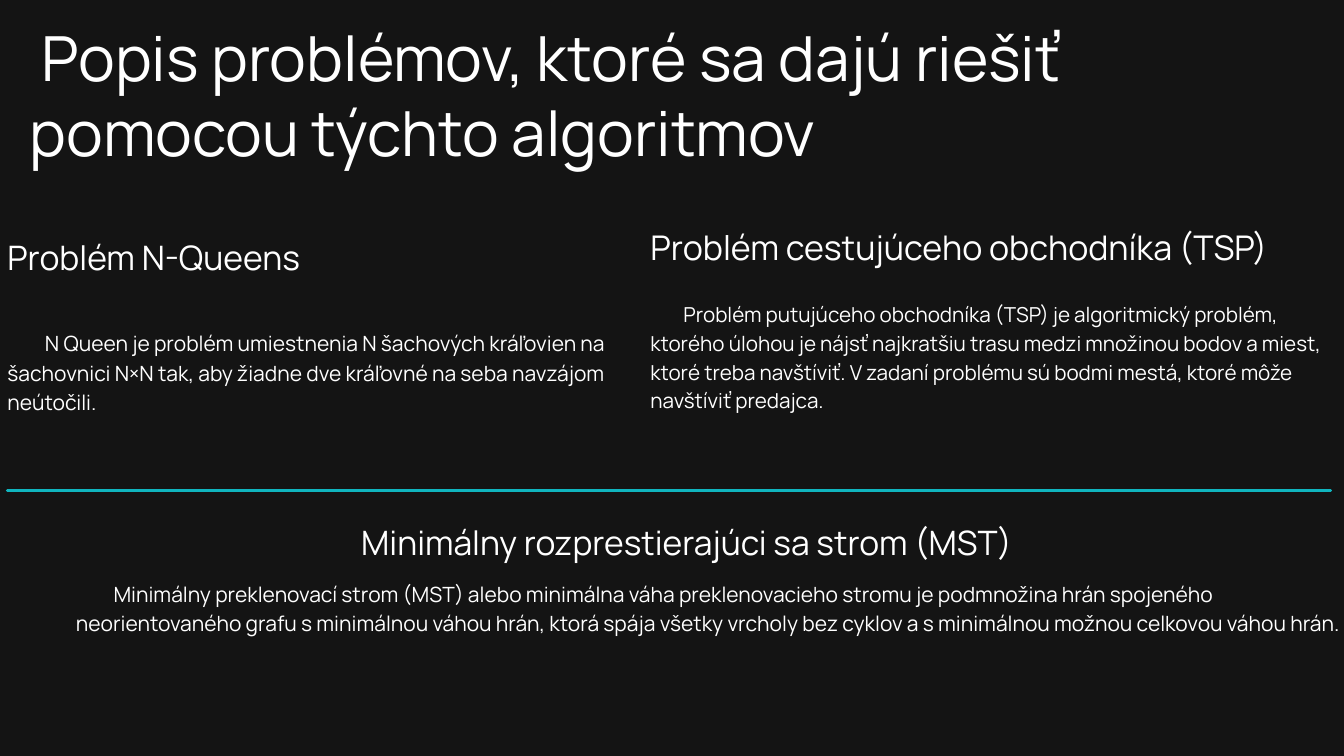
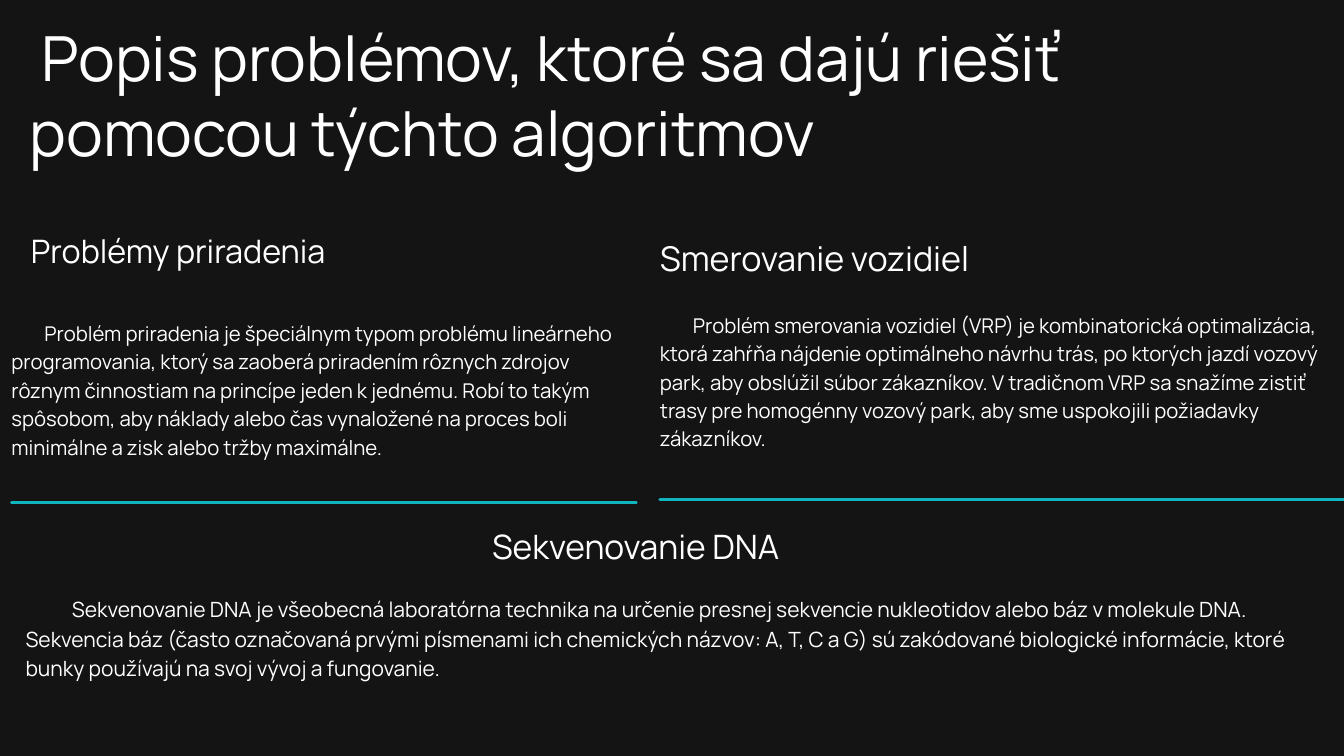
from lxml import etree
from pptx import Presentation
from pptx.dml.color import RGBColor
from pptx.enum.shapes import MSO_CONNECTOR
from pptx.enum.text import PP_ALIGN
from pptx.oxml.ns import qn
from pptx.util import Inches, Pt

BACKGROUND = RGBColor(0x14, 0x14, 0x14)
WHITE = RGBColor(0xFF, 0xFF, 0xFF)
TEAL = RGBColor(0x10, 0xB5, 0xBF)
FONT = "Manrope"
LEFT, CENTER = PP_ALIGN.LEFT, PP_ALIGN.CENTER
STRAIGHT = MSO_CONNECTOR.STRAIGHT

TITLE = "Popis problémov, ktoré sa dajú riešiť pomocou týchto algoritmov"
TITLE_SIZE, TITLE_LEADING = 66.6, 1.2
HEADING_SIZE, BODY_SIZE, LEADING = 36, 22.5, 1.4


class Deck:
    """Holds the shared style and the slide being built."""

    def __init__(self):
        self.presentation = Presentation()
        self.presentation.slide_width = Inches(20)
        self.presentation.slide_height = Inches(11.25)
        self.slide = None

    def new_slide(self):
        layout = self.presentation.slide_layouts[6]
        self.slide = self.presentation.slides.add_slide(layout)
        fill = self.slide.background.fill
        fill.solid()
        fill.fore_color.rgb = BACKGROUND
        self.text_box((0.44, 0.29, 15.41, 2.23))
        self.title()

    def text_box(self, box):
        shape = self.slide.shapes.add_textbox(*map(Inches, box))
        self.text_frame = shape.text_frame
        self.text_frame.word_wrap = True
        self.text_frame.margin_left = self.text_frame.margin_right = 0
        self.text_frame.margin_top = self.text_frame.margin_bottom = 0
        return self.text_frame

    def title(self):
        self.format(self.text_frame.paragraphs[0], TITLE, TITLE_SIZE,
                    indent=0.17, leading=TITLE_LEADING)

    def format(self, paragraph, text, size, indent=0, align=LEFT, leading=LEADING):
        """Fill a paragraph; indent moves only its first line, in inches."""
        paragraph.text = text
        paragraph.alignment = align
        paragraph.line_spacing = Pt(round(size * leading, 1))
        if indent:
            properties = paragraph._p.get_or_add_pPr()
            properties.set("marL", "0")
            properties.set("indent", str(Inches(indent)))
        for run in paragraph.runs:
            run.font.name = FONT
            run.font.size = Pt(size)
            run.font.color.rgb = WHITE

    def rule(self, left, top, width, weight):
        connector = self.slide.shapes.add_connector(
            STRAIGHT, Inches(left), Inches(top), Inches(left + width), Inches(top))
        connector.line.color.rgb = TEAL
        connector.line.width = Pt(weight)
        connector.line._get_or_add_ln().set("cap", "rnd")
        etree.SubElement(connector._element.spPr, qn("a:effectLst"))

    def column(self, box, heading, body, sizes, gap, indents, rule_top, rule_weight):
        """Heading and body in one box, with a rule of the same width below."""
        text_frame = self.text_box(box)
        self.format(text_frame.paragraphs[0], heading, sizes[0], indents[0])
        paragraph = text_frame.add_paragraph()
        self.format(paragraph, body, sizes[1], indents[1])
        paragraph.space_before = Pt(gap)
        self.rule(box[0], rule_top, box[2], rule_weight)

    def wide_section(self, heading_box, heading, body_box, body, indent):
        text_frame = self.text_box(heading_box)
        self.format(text_frame.paragraphs[0], heading, HEADING_SIZE, align=CENTER)
        text_frame = self.text_box(body_box)
        self.format(text_frame.paragraphs[0], body, BODY_SIZE, indent)


def build_graph_problems(deck):
    deck.new_slide()
    deck.column(
        (0.11, 3.42, 9.8, 3.13), "Problém N-Queens",
        "N Queen je problém umiestnenia N šachových kráľovien na šachovnici N×N tak, "
        "aby žiadne dve kráľovné na seba navzájom neútočili.",
        sizes=(36.1, 22.5), gap=53.3, indents=(0, 0.56), rule_top=7.3, rule_weight=3.04)
    deck.column(
        (9.68, 3.27, 10.12, 3.26), "Problém cestujúceho obchodníka (TSP)",
        "Problém putujúceho obchodníka (TSP) je algoritmický problém, ktorého úlohou je "
        "nájsť najkratšiu trasu medzi množinou bodov a miest, ktoré treba navštíviť. "
        "V zadaní problému sú bodmi mestá, ktoré môže navštíviť predajca.",
        sizes=(36.4, 22.1), gap=32.5, indents=(0, 0.49), rule_top=7.3, rule_weight=3.14)
    deck.wide_section(
        (0.44, 7.66, 19.56, 1.79), "Minimálny rozprestierajúci sa strom (MST)",
        (1.13, 8.59, 18.87, 1.3),
        "Minimálny preklenovací strom (MST) alebo minimálna váha preklenovacieho stromu je "
        "podmnožina hrán spojeného neorientovaného grafu s minimálnou váhou hrán, ktorá "
        "spája všetky vrcholy bez cyklov a s minimálnou možnou celkovou váhou hrán.",
        indent=0.56)


def build_applied_problems(deck):
    deck.new_slide()
    deck.column(
        (0.17, 3.34, 9.3, 3.43), "Problémy priradenia",
        "Problém priradenia je špeciálnym typom problému lineárneho programovania, ktorý sa "
        "zaoberá priradením rôznych zdrojov rôznym činnostiam na princípe jeden k jednému. "
        "Robí to takým spôsobom, aby náklady alebo čas vynaložené na proces boli minimálne "
        "a zisk alebo tržby maximálne.",
        sizes=(34.6, 21.8), gap=50.5, indents=(0.29, 0.49), rule_top=7.48, rule_weight=2.89)
    deck.column(
        (9.82, 3.43, 10.17, 3.23), "Smerovanie vozidiel",
        "Problém smerovania vozidiel (VRP) je kombinatorická optimalizácia, ktorá zahŕňa "
        "nájdenie optimálneho návrhu trás, po ktorých jazdí vozový park, aby obslúžil súbor "
        "zákazníkov. V tradičnom VRP sa snažíme zistiť trasy pre homogénny vozový park, "
        "aby sme uspokojili požiadavky zákazníkov.",
        sizes=(36.5, 21.8), gap=32.7, indents=(0, 0.49), rule_top=7.43, rule_weight=3.16)
    deck.wide_section(
        (-0.32, 7.73, 19.56, 2.49), "Sekvenovanie DNA",
        (0.38, 8.82, 19.62, 1.74),
        "Sekvenovanie DNA je všeobecná laboratórna technika na určenie presnej sekvencie "
        "nukleotidov alebo báz v molekule DNA. Sekvencia báz (často označovaná prvými "
        "písmenami ich chemických názvov: A, T, C a G) sú zakódované biologické informácie, "
        "ktoré bunky používajú na svoj vývoj a fungovanie.",
        indent=0.69)


def main():
    deck = Deck()
    build_graph_problems(deck)
    build_applied_problems(deck)
    deck.presentation.save("out.pptx")


if __name__ == "__main__":
    main()
